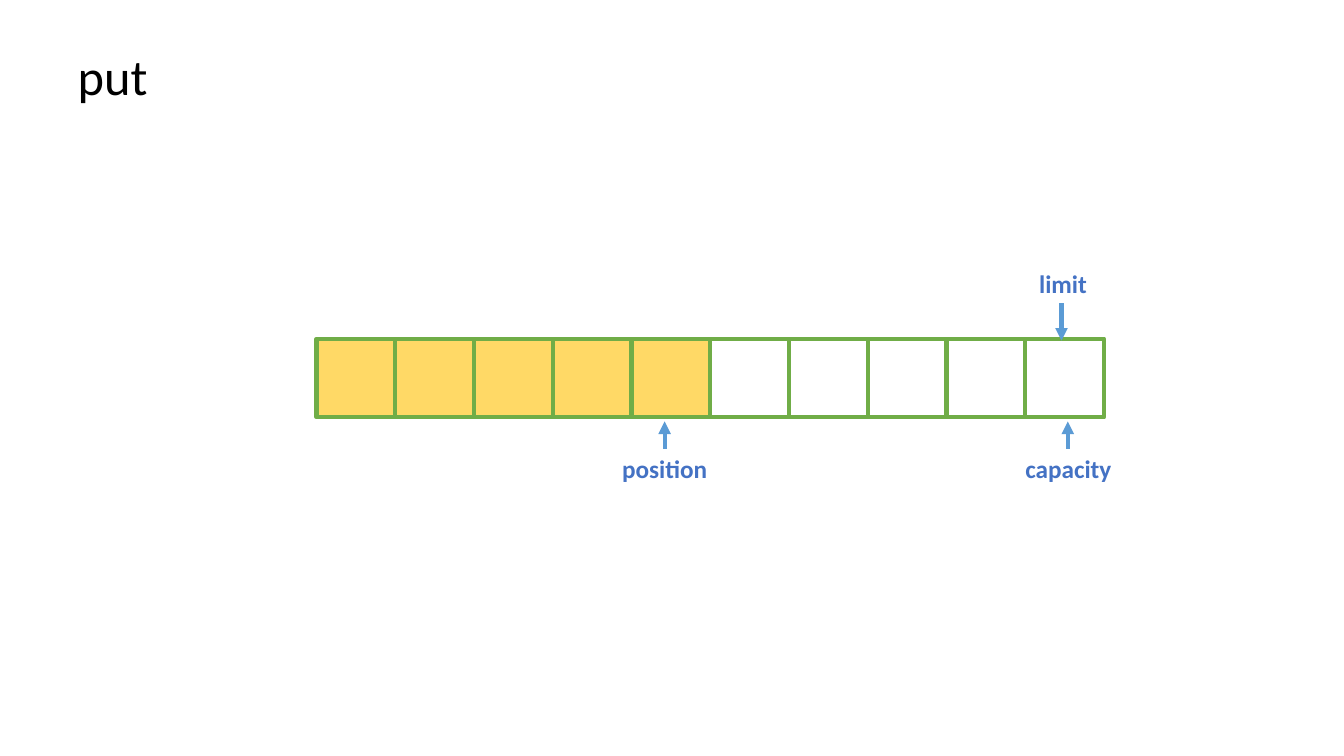
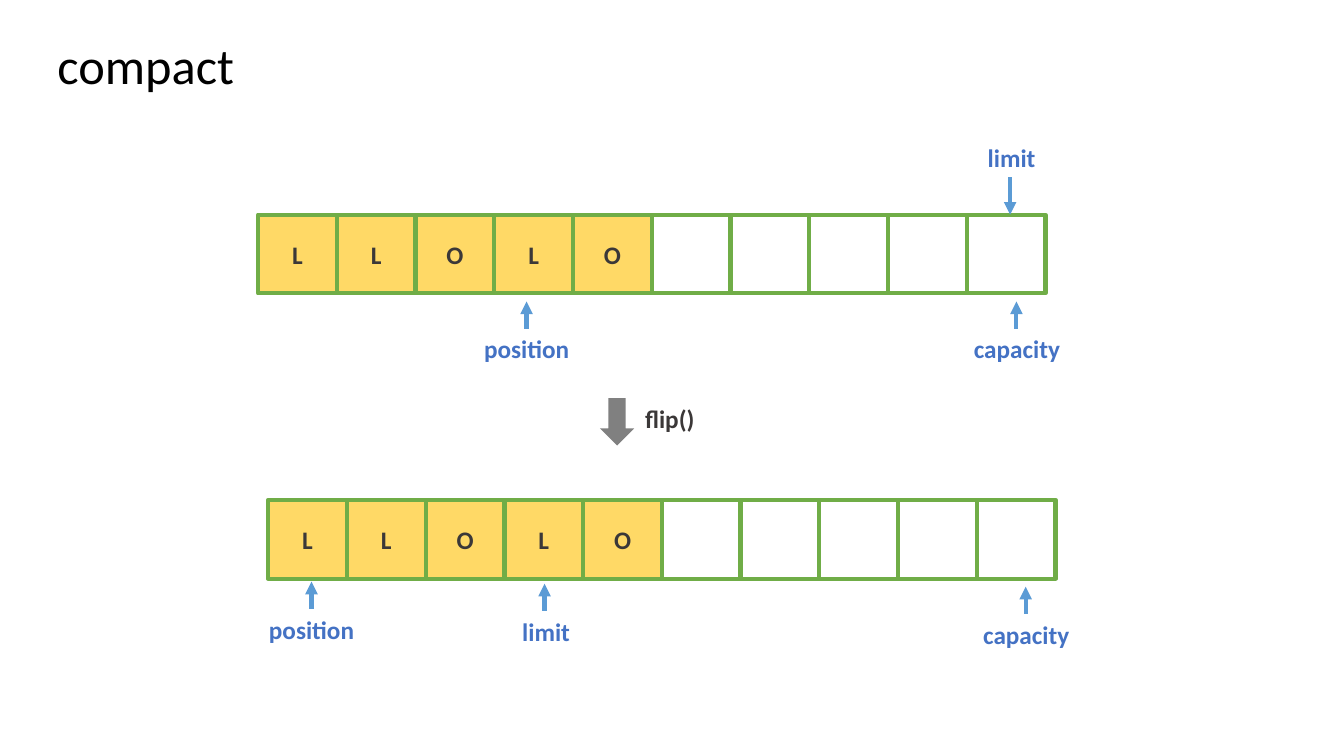
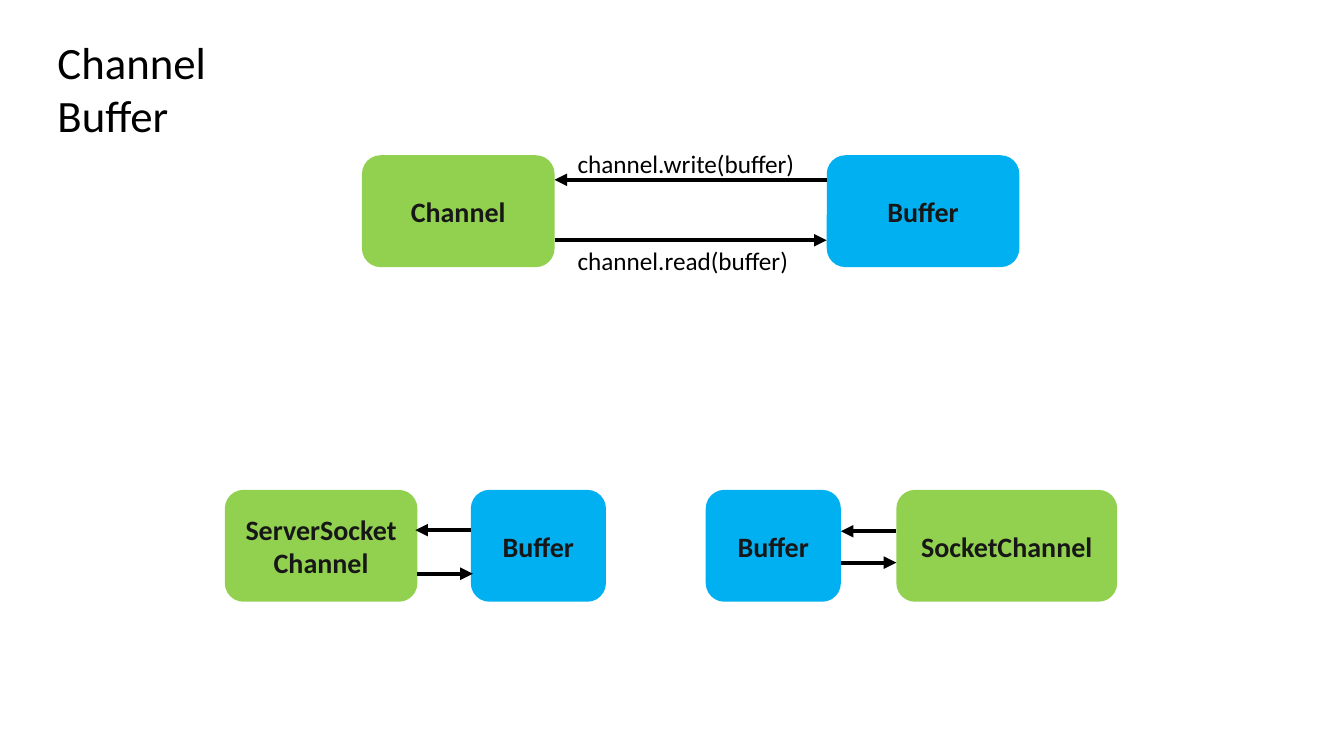
from pptx import Presentation, util as u
from pptx.dml.color import RGBColor
from pptx.enum import shapes, text
from pptx.oxml import parse_xml
from pptx.oxml.ns import nsdecls

WHITE = RGBColor(0xFF, 0xFF, 0xFF)
BLACK = RGBColor(0, 0, 0)
YELLOW = RGBColor(0xFF, 0xD9, 0x66)
GRID_GREEN = RGBColor(0x70, 0xAD, 0x47)
ARROW_BLUE = RGBColor(0x5B, 0x9B, 0xD5)
LABEL_BLUE = RGBColor(0x44, 0x72, 0xC4)
LETTER_GRAY = RGBColor(0x3B, 0x38, 0x38)
STEP_GRAY = RGBColor(0x80, 0x80, 0x80)
NODE_INK = RGBColor(0x18, 0x17, 0x17)
CHANNEL_GREEN = RGBColor(0x92, 0xD0, 0x50)
BUFFER_BLUE = RGBColor(0x00, 0xB0, 0xF0)

LABEL = dict(size=u.Pt(18), bold=True, color=LABEL_BLUE)
LETTER = dict(LABEL, color=LETTER_GRAY)
CALL = dict(size=u.Pt(18), bold=False, color=BLACK)
NODE = dict(size=u.Pt(20), bold=True, color=NODE_INK)
MIDDLE = dict(align=text.PP_ALIGN.CENTER, anchor=text.MSO_ANCHOR.MIDDLE)

COLUMNS, FILLED = 10, 5
CELL = 7.81 / COLUMNS
LABEL_HEIGHT = 0.4
TITLE_WIDTH = 2.09
LINE_WIDTH = 3
BELOW_LENGTH, ABOVE_LENGTH = 0.27, 0.37
LABEL_SHIFT = {"position": 0.52, "capacity": 0.52, "limit": 0.32}

# Pointers: word, side, column of the arrow, gap between arrow and row
BUFFER_SLIDES = [
    dict(title=("put", 0.67, 0.4, 0.71, 36), rows=[
        dict(left=3.14, top=3.36, letters="", pointers=[
            ("capacity", "below", 9.54, 0.04),
            ("position", "below", 4.42, 0.04),
            ("limit", "above", 9.46, -0.02)])]),
    dict(title=("compact", 0.47, 0.29, 0.71, 36), rows=[
        dict(left=2.56, top=2.13, letters="LLOLO", pointers=[
            ("capacity", "below", 9.63, 0.08),
            ("position", "below", 3.41, 0.08),
            ("limit", "above", 9.55, 0)]),
        dict(left=2.66, top=4.96, letters="LLOLO", pointers=[
            ("capacity", "below", 9.62, 0.08),
            ("limit", "below", 3.51, 0.05),
            ("position", "below", 0.55, 0.03)])]),
]
STEP = dict(word="flip()", arrow=(5.95, 3.95, 0.34, 0.47), label=(6.3, 3.95))

CHANNEL_TITLE = ("Channel Buffer", 0.47, 0.29, 1.18, 32)
NODE_HEIGHT = 1.11
# Each pair: top, then left and right nodes (words, left, width, fill),
# then heights of the leftward and rightward arrows as shares, and overlap
PAIRS = [
    (1.54, ("Channel", 3.59, 1.91, CHANNEL_GREEN),
     ("Buffer", 8.2, 1.91, BUFFER_BLUE), (0.22, 0.76), 0),
    (4.86, ("ServerSocketChannel", 2.23, 1.91, CHANNEL_GREEN),
     ("Buffer", 4.67, 1.34, BUFFER_BLUE), (0.36, 0.75), 0.02),
    (4.86, ("Buffer", 7, 1.34, BUFFER_BLUE),
     ("SocketChannel", 8.89, 2.19, CHANNEL_GREEN), (0.37, 0.65), 0),
]
CALLS = [("channel.read(buffer)", 2.38), ("channel.write(buffer)", 1.42)]
CALL_LEFT, CALL_WIDTH = 5.63, 3.06


def inches(*lengths):
    """Turn plain numbers into slide lengths."""
    return [u.Inches(length) for length in lengths]


def write(shape, words, style, align=text.PP_ALIGN.LEFT,
          anchor=text.MSO_ANCHOR.TOP):
    """Put one formatted paragraph into a shape."""
    frame = shape.text_frame
    frame.word_wrap = True
    frame.auto_size = text.MSO_AUTO_SIZE.NONE
    frame.vertical_anchor = anchor
    para = frame.paragraphs[0]
    para.alignment = align
    span = para.add_run()
    span.text = words
    span.font.color.rgb = style["color"]
    for name, value in dict(style, name="Calibri").items():
        if name != "color":
            setattr(span.font, name, value)


def add_page(deck, title):
    """Add a title-only page with its title set."""
    words, left, top, height, size = title
    page = deck.slides.add_slide(deck.slide_layouts[5])
    box = page.shapes.title
    places = inches(left, top, TITLE_WIDTH, height)
    for name, value in zip(("left", "top", "width", "height"), places):
        setattr(box, name, value)
    write(box, words, dict(size=u.Pt(size), bold=False, color=BLACK))
    return page


def add_label(page, words, left, top, width, style):
    """Add a text box one line high."""
    box = page.shapes.add_textbox(*inches(left, top, width, LABEL_HEIGHT))
    write(box, words, style)


def add_block(page, preset, place, fill, line=None):
    """Add a flat filled shape, outlined only when a line colour is given."""
    block = page.shapes.add_shape(preset, *inches(*place))
    block.shadow.inherit = False
    block.fill.solid()
    block.fill.fore_color.rgb = fill
    if line is None:
        block.line.fill.background()
    else:
        block.line.color.rgb = line
        block.line.width = u.Pt(LINE_WIDTH)
    return block


def add_arrow(page, start, end, color):
    """Draw a straight arrow from start to end."""
    arrow = page.shapes.add_connector(
        shapes.MSO_CONNECTOR.STRAIGHT, *inches(*start, *end))
    arrow.line.color.rgb = color
    arrow.line.width = u.Pt(LINE_WIDTH)
    arrow.line._get_or_add_ln().append(
        parse_xml(f'<a:tailEnd {nsdecls("a")} type="triangle"/>'))
    arrow._element.spPr.append(parse_xml(f'<a:effectLst {nsdecls("a")}/>'))


def add_pointer(page, row, word, side, column, gap):
    """Point a labelled arrow at a row of cells."""
    x = row["left"] + column * CELL
    if side == "below":
        head = row["top"] + CELL + gap
        tail = label_top = head + BELOW_LENGTH
    else:
        head = row["top"] - gap
        tail = head - ABOVE_LENGTH
        label_top = tail - LABEL_HEIGHT
    add_arrow(page, (x, tail), (x, head), ARROW_BLUE)
    add_label(page, word, x - LABEL_SHIFT[word], label_top, 1.2, LABEL)


def add_row(page, row):
    """Draw the buffer cells and their pointers."""
    for column in range(COLUMNS):
        place = (row["left"] + column * CELL, row["top"], CELL, CELL)
        fill = YELLOW if column < FILLED else WHITE
        cell = add_block(page, shapes.MSO_SHAPE.RECTANGLE, place, fill,
                         GRID_GREEN)
        if column < len(row["letters"]):
            write(cell, row["letters"][column], LETTER, **MIDDLE)
    for pointer in row["pointers"]:
        add_pointer(page, row, *pointer)


def add_pair(page, top, left_node, right_node, shares, overlap):
    """Draw two nodes and the arrows that go both ways between them."""
    for words, left, width, fill in (left_node, right_node):
        node = add_block(page, shapes.MSO_SHAPE.ROUNDED_RECTANGLE,
                         (left, top, width, NODE_HEIGHT), fill)
        write(node, words, NODE, **MIDDLE)
    near, far = left_node[1] + left_node[2], right_node[1]
    back, forth = (top + share * NODE_HEIGHT for share in shares)
    add_arrow(page, (far, back), (near - overlap, back), BLACK)
    add_arrow(page, (near, forth), (far + overlap, forth), BLACK)


deck = Presentation()
deck.slide_width, deck.slide_height = inches(13.33, 7.5)

for content in BUFFER_SLIDES:
    page = add_page(deck, content["title"])
    for row in content["rows"]:
        add_row(page, row)

add_block(page, shapes.MSO_SHAPE.DOWN_ARROW, STEP["arrow"], STEP_GRAY)
add_label(page, STEP["word"], *STEP["label"], TITLE_WIDTH, LETTER)

page = add_page(deck, CHANNEL_TITLE)
for pair in PAIRS:
    add_pair(page, *pair)
for words, top in CALLS:
    add_label(page, words, CALL_LEFT, top, CALL_WIDTH, CALL)

deck.save("out.pptx")
